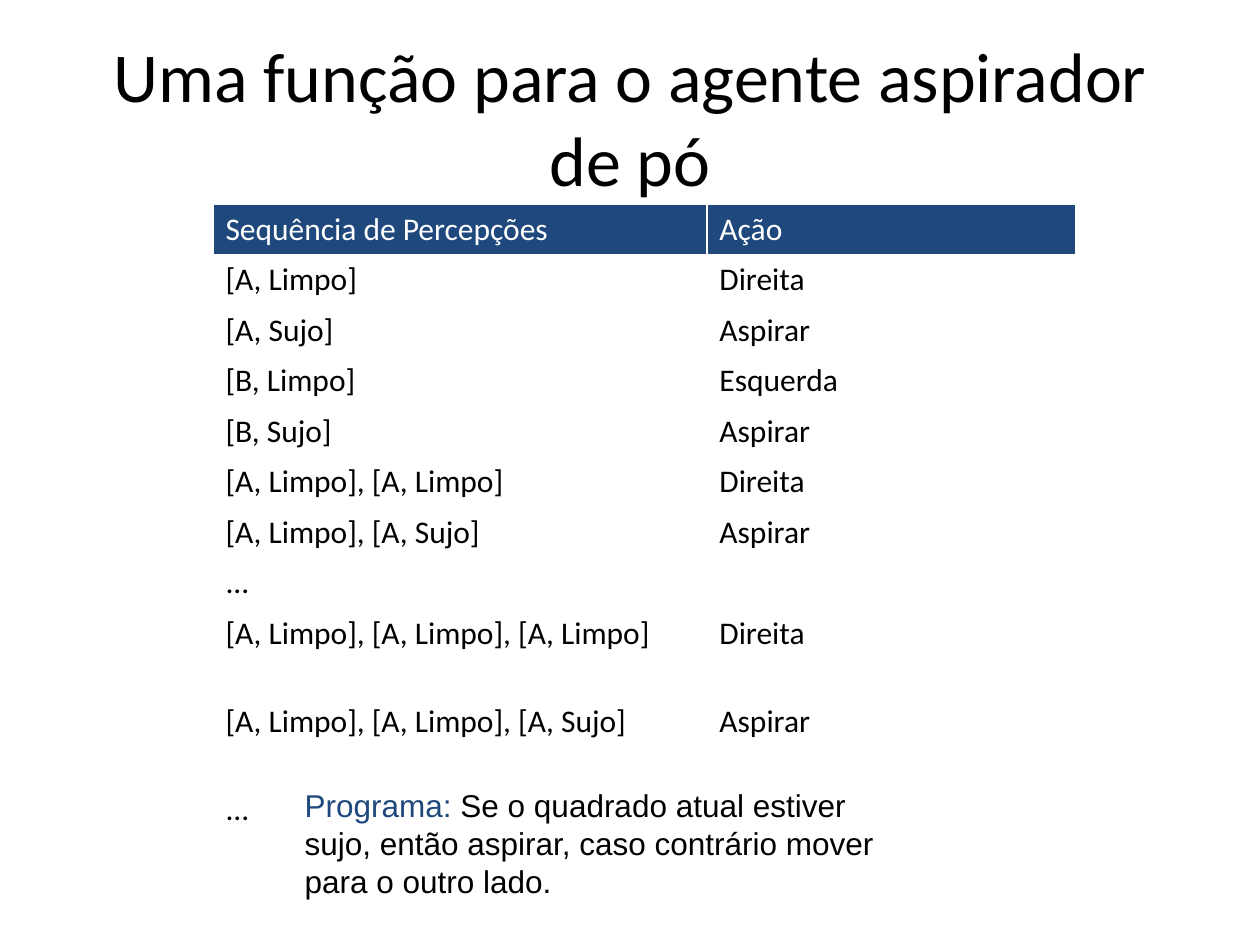
"""Builds a slide with the percept-to-action table of a vacuum agent."""
import pptx
import pptx.dml.color
import pptx.enum.text
import pptx.util

NAVY = pptx.dml.color.RGBColor(0x1F, 0x49, 0x7D)
WHITE = pptx.dml.color.RGBColor(0xFF, 0xFF, 0xFF)
BLACK = pptx.dml.color.RGBColor(0, 0, 0)
Inches = pptx.util.Inches

ROW_HEIGHT = 0.4
TALL_ROW_HEIGHT = 0.7
TALL_ROWS = (8, 9)
COLUMN_WIDTHS = (3.92, 2.93)
ROWS = [
    ("Sequência de Percepções", "Ação"),
    ("[A, Limpo]", "Direita"),
    ("[A, Sujo]", "Aspirar"),
    ("[B, Limpo]", "Esquerda"),
    ("[B, Sujo]", "Aspirar"),
    ("[A, Limpo], [A, Limpo]", "Direita"),
    ("[A, Limpo], [A, Sujo]", "Aspirar"),
    ("...", ""),
    ("[A, Limpo], [A, Limpo], [A, Limpo]", "Direita"),
    ("[A, Limpo], [A, Limpo], [A, Sujo]", "Aspirar"),
    ("...", ""),
]
HEIGHTS = [TALL_ROW_HEIGHT if i in TALL_ROWS else ROW_HEIGHT for i in range(len(ROWS))]


def style(font, name, size, color):
    font.name = name
    font.size = pptx.util.Pt(size)
    font.color.rgb = color


deck = pptx.Presentation()
deck.slide_width = Inches(10)
deck.slide_height = Inches(7.5)
page = deck.slides.add_slide(deck.slide_layouts[5])

title = page.shapes.title
title.left, title.top = Inches(0.5), Inches(0.21)
title.width, title.height = Inches(9), Inches(1.43)
title.text_frame.text = "Uma função para o agente aspirador de pó"
title.text_frame.vertical_anchor = pptx.enum.text.MSO_ANCHOR.MIDDLE
title.text_frame.auto_size = pptx.enum.text.MSO_AUTO_SIZE.SHAPE_TO_FIT_TEXT
heading = title.text_frame.paragraphs[0]
heading.alignment = pptx.enum.text.PP_ALIGN.CENTER
style(heading.runs[0].font, "Calibri", 40, BLACK)

table = page.shapes.add_table(
    len(ROWS), len(COLUMN_WIDTHS), Inches(1.69), Inches(1.62),
    Inches(sum(COLUMN_WIDTHS)), Inches(sum(HEIGHTS)),
).table
table.horz_banding = False
table.first_row = False
for column, width in zip(table.columns, COLUMN_WIDTHS):
    column.width = Inches(width)
for row_index, (texts, height) in enumerate(zip(ROWS, HEIGHTS)):
    table.rows[row_index].height = Inches(height)
    for cell, text in zip(table.rows[row_index].cells, texts):
        if row_index == 0:
            cell.fill.solid()
            cell.fill.fore_color.rgb = NAVY
        else:
            cell.fill.background()
        cell.text_frame.text = text
        for span in cell.text_frame.paragraphs[0].runs:
            style(span.font, "Calibri", 18, BLACK if row_index else WHITE)

box = page.shapes.add_textbox(Inches(2.32), Inches(6.19), Inches(5.06), Inches(1))
box.text_frame.word_wrap = True
box.text_frame.auto_size = pptx.enum.text.MSO_AUTO_SIZE.SHAPE_TO_FIT_TEXT
para = box.text_frame.paragraphs[0]
for text, color in [
    ("Programa: ", NAVY),
    ("Se o quadrado atual estiver sujo, então aspirar, caso contrário mover para o outro lado.", BLACK),
]:
    span = para.add_run()
    span.text = text
    style(span.font, "Arial", 18, color)

deck.save("out.pptx")
